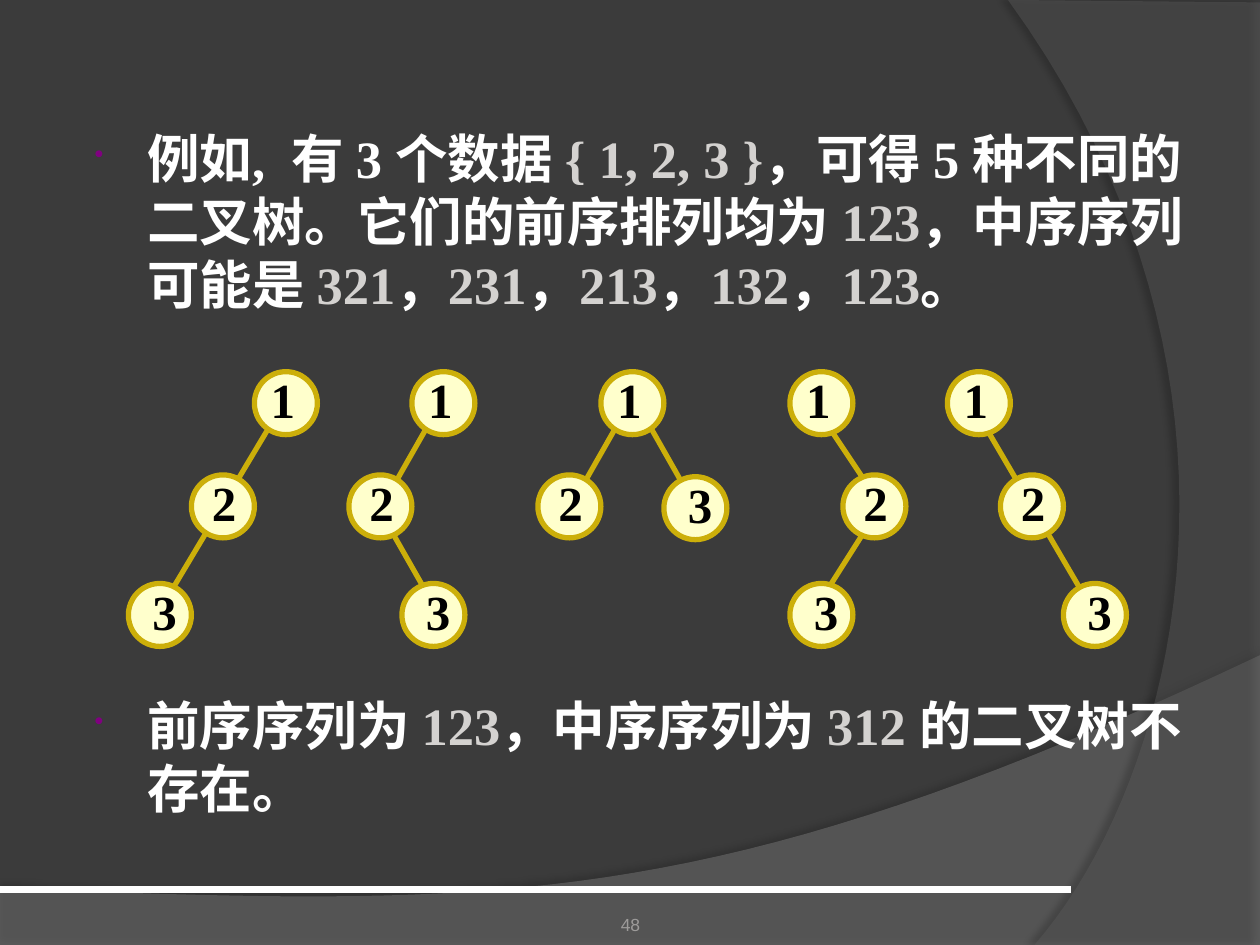
"""Build a slide on the five binary trees that share the preorder sequence 123."""
import pptx
import pptx.dml.color
import pptx.enum.shapes
import pptx.enum.text
import pptx.oxml
import pptx.oxml.ns
import pptx.util

Pt = pptx.util.Pt
ANCHOR = pptx.enum.text.MSO_ANCHOR
CENTER = pptx.enum.text.PP_ALIGN.CENTER
COLORS = {
    "background": "3B3B3B", "wave": "7F7F7F", "arc": "5E5E5E", "white": "FFFFFF",
    "sequence": "D4D2D0", "footer": "9D9B9A", "bullet": "800080",
    "edge": "CCAF0A", "node": "FFFFCC", "label": "000000", "shadow": "000000",
}
SERIF = "Times New Roman"
NODE_SIZE = 36
LABEL_SHIFT = {"1": 1.8, "2": 4.3, "3": 6.3}
TOP, MIDDLE, BOTTOM = 212.4, 271.4, 333.4
EDGE_TOP, EDGE_MIDDLE, EDGE_LOW = 237.6, 279.4, 303.8

TREES = [
    {"nodes": [(145.4, TOP), (109.4, MIDDLE), (73.4, BOTTOM)],
     "edges": [(157.7, EDGE_TOP, 97.9, 337.7)]},
    {"nodes": [(235.4, TOP), (199.4, MIDDLE), (229.7, BOTTOM)],
     "edges": [(247.7, EDGE_TOP, 223.9, EDGE_MIDDLE), (223.9, EDGE_LOW, 247.7, 345.6)]},
    {"nodes": [(343.4, TOP), (307.4, MIDDLE), (379.4, 272.4)],
     "edges": [(355.7, EDGE_TOP, 331.9, EDGE_MIDDLE), (368, EDGE_TOP, 391.7, EDGE_MIDDLE)]},
    {"nodes": [(451.4, TOP), (481.7, MIDDLE), (451.4, BOTTOM)],
     "edges": [(469.4, EDGE_TOP, 505.4, 291.6), (493.9, EDGE_LOW, 463.7, 351.4)]},
    {"nodes": [(541.4, TOP), (571.7, MIDDLE), (607.7, BOTTOM)],
     "edges": [(559.4, EDGE_TOP, 619.2, 339.8)]},
]
EXAMPLE = [
    ("例如,  有 3 个数据 ", "white"), ("{ 1, 2, 3 }", "sequence"),
    ("，可得 5 种不同的二叉树。它们的前序排列均为 ", "white"), ("123", "sequence"),
    ("，中序序列可能是 ", "white"), ("321", "sequence"), ("，", "white"),
    ("231", "sequence"), ("，", "white"), ("213", "sequence"), ("，", "white"),
    ("132", "sequence"), ("，", "white"), ("123", "sequence"), ("。", "white"),
]
CONCLUSION = [
    ("前序序列为 ", "white"), ("123", "sequence"), ("，中序序列为 ", "white"),
    ("312 ", "sequence"), ("的二叉树不存在。", "white"),
]


def color(name):
    """Return the named colour."""
    return pptx.dml.color.RGBColor.from_string(COLORS[name])


def add_xml(parent, xml):
    """Append a drawing element written as XML."""
    namespace = pptx.oxml.ns.nsdecls("a")
    parent.append(pptx.oxml.parse_xml(xml.replace(">", f" {namespace}>", 1)))


def style_font(font, name, size, shade, bold=False):
    """Set the face, size, colour and weight of a font."""
    font.name, font.size, font.bold = name, Pt(size), bold
    font.color.rgb = color(shade)


def curve(start, first, second, end, steps=40):
    """Return points along a cubic curve, without its start."""
    points = []
    for step in range(1, steps + 1):
        t = step / steps
        weights = ((1 - t) ** 3, 3 * t * (1 - t) ** 2, 3 * t * t * (1 - t), t ** 3)
        points.append(tuple(sum(w * p[axis] for w, p in zip(weights, (start, first, second, end)))
                            for axis in (0, 1)))
    return points


def add_backdrop(page, points, shade, opacity, shadow_opacity, distance, angle):
    """Add a translucent outline with a soft shadow."""
    corners = [(Pt(x), Pt(y)) for x, y in points]
    builder = page.shapes.build_freeform(*corners[0])
    builder.add_line_segments(corners[1:], close=True)
    shape = builder.convert_to_shape()
    shape.fill.solid()
    shape.fill.fore_color.rgb = color(shade)
    shape.line.fill.background()
    properties = shape.element.spPr
    fill = properties.find(pptx.oxml.ns.qn("a:solidFill"))
    add_xml(fill[0], f'<a:alpha val="{opacity * 1000}"></a:alpha>')
    add_xml(properties, f'<a:effectLst><a:outerShdw blurRad="{Pt(4)}" dist="{Pt(distance)}" '
                        f'dir="{angle * 60000}" algn="ctr" rotWithShape="0">'
                        f'<a:srgbClr val="{COLORS["shadow"]}"><a:alpha val="{shadow_opacity * 1000}"/>'
                        '</a:srgbClr></a:outerShdw></a:effectLst>')


def add_line(page, ends, shade, width):
    """Add a straight line without a shadow."""
    line = page.shapes.add_connector(pptx.enum.shapes.MSO_CONNECTOR.STRAIGHT, *map(Pt, ends))
    line.line.color.rgb = color(shade)
    line.line.width = Pt(width)
    add_xml(line.element.spPr, "<a:effectLst></a:effectLst>")


def add_label(page, area, text, anchor, **style):
    """Add a short centred text."""
    box = page.shapes.add_textbox(*map(Pt, area))
    frame = box.text_frame
    frame.text = text
    frame.word_wrap = False
    frame.vertical_anchor = anchor
    paragraph = frame.paragraphs[0]
    paragraph.alignment = CENTER
    style_font(paragraph.runs[0].font, **style)
    return box


def add_node(page, left, top, text):
    """Add a round tree node and its number."""
    shape = page.shapes.add_shape(pptx.enum.shapes.MSO_SHAPE.OVAL,
                                  *map(Pt, (left, top, NODE_SIZE, NODE_SIZE)))
    shape.shadow.inherit = False
    shape.fill.solid()
    shape.fill.fore_color.rgb = color("node")
    shape.line.color.rgb = color("edge")
    shape.line.width = Pt(3)
    add_label(page, (left + LABEL_SHIFT[text], top - 4.8, 28.8, 41), text, ANCHOR.MIDDLE,
              name=SERIF, size=28, shade="label", bold=True)


def add_tree(page, nodes, edges):
    """Add the edges of a tree, then its numbered nodes."""
    for ends in edges:
        add_line(page, ends, "edge", 3)
    for number, (left, top) in enumerate(nodes, start=1):
        add_node(page, left, top, str(number))


def fill_bullet(paragraph, spans):
    """Write coloured spans into a paragraph with a small bullet."""
    properties = paragraph._p.get_or_add_pPr()
    properties.set("marL", str(Pt(33)))
    properties.set("indent", str(-Pt(30)))
    add_xml(properties, f'<a:buClr><a:srgbClr val="{COLORS["bullet"]}"/></a:buClr>')
    add_xml(properties, '<a:buSzPct val="50000"></a:buSzPct>')
    add_xml(properties, '<a:buChar char="•"></a:buChar>')
    for text, shade in spans:
        span = paragraph.add_run()
        span.text = text
        style_font(span.font, SERIF, 30, shade, bold=True)


def add_body(page):
    """Add the example above the trees and the conclusion below them."""
    frame = page.shapes.add_textbox(Pt(44), Pt(68.4), Pt(639.4), Pt(417)).text_frame
    frame.word_wrap = True
    fill_bullet(frame.paragraphs[0], EXAMPLE)
    conclusion = frame.add_paragraph()
    conclusion.space_before = Pt(216)
    fill_bullet(conclusion, CONCLUSION)


def main():
    """Build and save the slide."""
    deck = pptx.Presentation()
    deck.slide_width, deck.slide_height = Pt(720), Pt(540)
    page = deck.slides.add_slide(deck.slide_layouts[6])
    page.background.fill.solid()
    page.background.fill.fore_color.rgb = color("background")

    wave = [(0, 507.6), (0, 540.7), (720, 540.7), (720, 374.4)]
    wave += curve(wave[-1], (402.5, 524.9), (281.5, 517.7), wave[0])
    add_backdrop(page, wave, "wave", 45, 35, 3.5, 270)
    arc = [(720, 1.4), (720, 540), (591.1, 540)]
    arc += curve(arc[-1], (673.2, 445.7), (733, 216), (576, 0))
    add_backdrop(page, arc, "arc", 40, 45, 4, 180)

    add_line(page, (0, 508.3, 612, 508.3), "white", 4.5)
    footer = add_label(page, (246.2, 505.4, 228.2, 28.8), "48", ANCHOR.BOTTOM,
                       name="Arial", size=10, shade="footer")
    footer.text_frame.margin_bottom = 0
    add_body(page)
    for tree in TREES:
        add_tree(page, **tree)
    deck.save("out.pptx")


if __name__ == "__main__":
    main()
